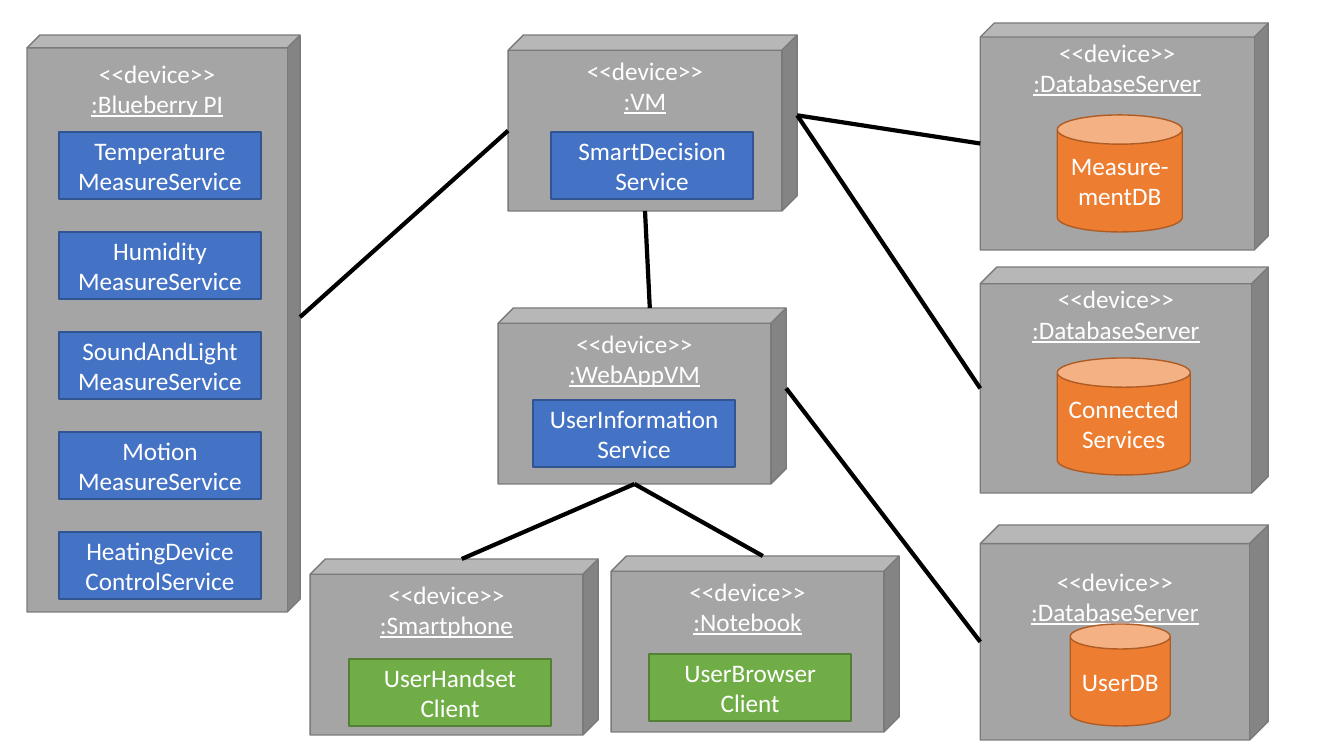
from pptx import Presentation
from pptx.dml.color import RGBColor
from pptx.enum.shapes import MSO_CONNECTOR, MSO_SHAPE
from pptx.enum.text import MSO_ANCHOR, PP_ALIGN
from pptx.oxml.ns import qn
from pptx.util import Inches, Pt
from lxml.etree import SubElement

WHITE = RGBColor(0xFF, 0xFF, 0xFF)
BLACK = RGBColor(0x00, 0x00, 0x00)
GRAY, GRAY_EDGE = RGBColor(0xA5, 0xA5, 0xA5), RGBColor(0x7A, 0x7A, 0x7A)
BLUE, BLUE_EDGE = RGBColor(0x44, 0x72, 0xC4), RGBColor(0x32, 0x54, 0x91)
GREEN, GREEN_EDGE = RGBColor(0x70, 0xAD, 0x47), RGBColor(0x53, 0x80, 0x35)
ORANGE, ORANGE_EDGE = RGBColor(0xED, 0x7D, 0x31), RGBColor(0xAF, 0x5C, 0x24)

PIXEL = Inches(1) / 100.8
LABEL_RISE = 17
COMPONENT_SIZE = (202, 67)
SENSOR_LEFT, SENSOR_TOP, SENSOR_STEP = 59, 132, 100

# name: (title, left, top, width, height, depth ratio, label center)
DEVICES = {
    "vm": (":VM", 508, 35, 289, 176, 0.087, 72),
    "sensors": (":Blueberry PI", 27, 35, 273, 577, 0.047, 75),
    "web": (":WebAppVM", 498, 308, 288, 176, 0.087, 345),
    "measure": (":DatabaseServer", 980, 23, 288, 227, 0.062, 54),
    "connected": (":DatabaseServer", 980, 267, 288, 226, 0.074, 299),
    "users": (":DatabaseServer", 980, 525, 288, 215, 0.087, 583),
    "phone": (":Smartphone", 310, 559, 288, 176, 0.087, 596),
    "notebook": (":Notebook", 611, 556, 288, 176, 0.087, 593),
}
SENSOR_SERVICES = [
    "Temperature\vMeasureService",
    "Humidity\vMeasureService",
    "SoundAndLight\vMeasureService",
    "Motion\vMeasureService",
    "HeatingDevice\vControlService",
]
SERVICES = [
    ("SmartDecision\vService", 551, 132),
    ("UserInformation\vService", 533, 400),
]
CLIENTS = [
    ("UserHandset\vClient", 349, 659),
    ("UserBrowser\vClient", 649, 654),
]
DATABASES = [
    ("Measure-mentDB", 1057, 115, 125, 117),
    ("UserDB", 1070, 624, 100, 102),
    ("Connected\vServices", 1057, 358, 133, 117),
]
LINKS = [
    ("sensors", "right", "vm", "left"),
    ("vm", "bottom", "web", "top"),
    ("vm", "right", "measure", "left"),
    ("vm", "right", "connected", "left"),
    ("web", "right", "users", "left"),
    ("phone", "top", "web", "bottom"),
    ("notebook", "top", "web", "bottom"),
]


def emu(pixels):
    return round(pixels * PIXEL)


def add_box(kind, text, bounds, fill, edge):
    box = slide.shapes.add_shape(kind, *map(emu, bounds))
    box.shadow.inherit = False
    box.fill.solid()
    box.fill.fore_color.rgb = fill
    box.line.color.rgb = edge
    box.line.width = Pt(1)
    frame = box.text_frame
    frame.word_wrap = True
    frame.vertical_anchor = MSO_ANCHOR.MIDDLE
    frame.text = text
    para = frame.paragraphs[0]
    para.alignment = PP_ALIGN.CENTER
    for span in para.runs:
        span.font.name = "Calibri"
        span.font.size = Pt(18)
        span.font.color.rgb = WHITE
    return box


def add_device(title, left, top, width, height, ratio, label_center):
    box = add_box(MSO_SHAPE.CUBE, "<<device>>\v" + title,
                  (left, top, width, height), GRAY, GRAY_EDGE)
    box.adjustments[0] = ratio
    depth = ratio * min(width, height)
    frame = box.text_frame
    frame.vertical_anchor = MSO_ANCHOR.TOP
    frame.margin_top = emu(max(0, label_center - LABEL_RISE - top - depth))
    frame.paragraphs[0].runs[1].font.underline = True


def device_side(name, side):
    title, left, top, width, height, ratio, label_center = DEVICES[name]
    depth = ratio * min(width, height)
    return {
        "left": (left, top + (height + depth) / 2),
        "right": (left + width, top + (height - depth) / 2),
        "top": (left + (width + depth) / 2, top),
        "bottom": (left + (width - depth) / 2, top + height),
    }[side]


def add_link(start, start_side, end, end_side):
    points = device_side(start, start_side) + device_side(end, end_side)
    link = slide.shapes.add_connector(MSO_CONNECTOR.STRAIGHT, *map(emu, points))
    link.line.color.rgb = BLACK
    link.line.width = Pt(3)
    SubElement(link._element.spPr, qn("a:effectLst"))


deck = Presentation()
deck.slide_width, deck.slide_height = Inches(13.33), Inches(7.5)
slide = deck.slides.add_slide(deck.slide_layouts[6])

for device in DEVICES.values():
    add_device(*device)

sensor_components = [(text, SENSOR_LEFT, SENSOR_TOP + row * SENSOR_STEP)
                     for row, text in enumerate(SENSOR_SERVICES)]
for components, fill, edge in [(sensor_components + SERVICES, BLUE, BLUE_EDGE),
                               (CLIENTS, GREEN, GREEN_EDGE)]:
    for text, left, top in components:
        add_box(MSO_SHAPE.RECTANGLE, text, (left, top, *COMPONENT_SIZE), fill, edge)

for text, *bounds in DATABASES:
    add_box(MSO_SHAPE.CAN, text, bounds, ORANGE, ORANGE_EDGE)

for link_ends in LINKS:
    add_link(*link_ends)

deck.save("out.pptx")
